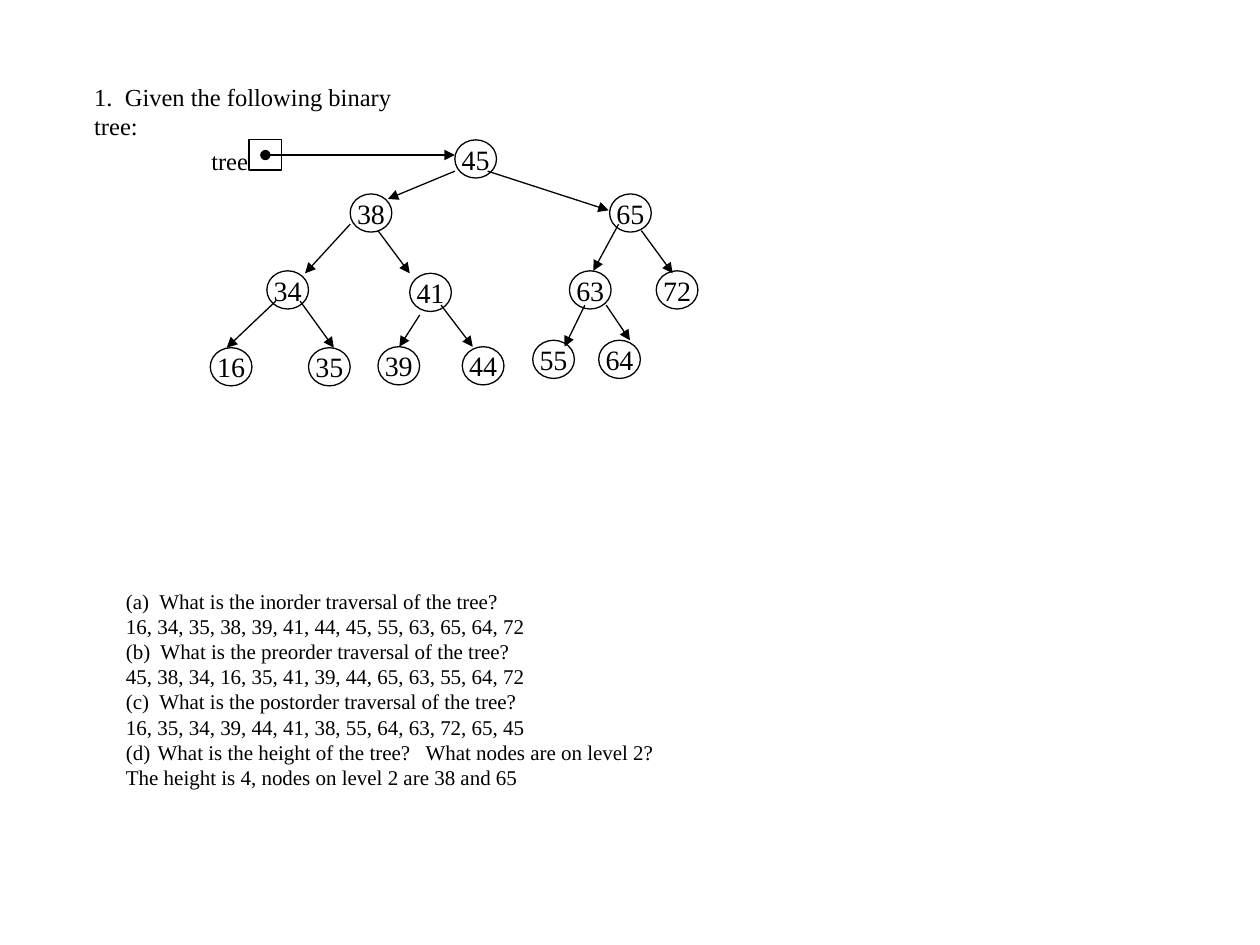
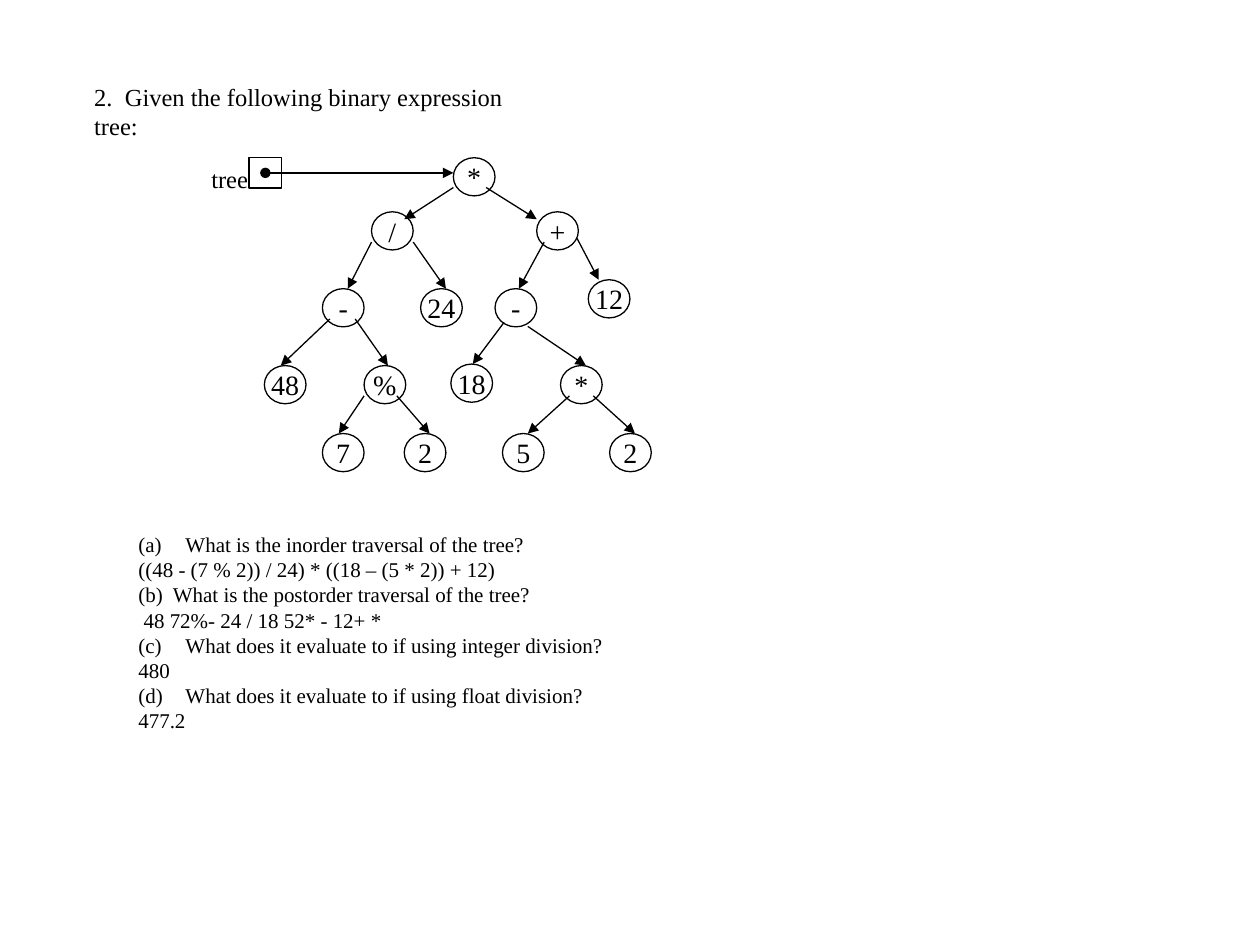
from lxml import etree
from pptx import Presentation
from pptx.dml.color import RGBColor
from pptx.enum.shapes import MSO_CONNECTOR, MSO_SHAPE
from pptx.enum.text import MSO_ANCHOR, PP_ALIGN
from pptx.oxml.ns import qn
from pptx.util import Cm, Pt

STRAIGHT = MSO_CONNECTOR.STRAIGHT
ELLIPSE, RECTANGLE = MSO_SHAPE.OVAL, MSO_SHAPE.RECTANGLE
CENTER, MIDDLE = PP_ALIGN.CENTER, MSO_ANCHOR.MIDDLE

BLACK = RGBColor(0, 0, 0)
FONT = "Times New Roman"
TITLE_SIZE, NODE_SIZE, BODY_SIZE = 14, 16, 12
LINE_WIDTH = Pt(0.75)

# All positions are in centimetres.
NODE_W, NODE_H = 0.84, 0.77
POINTER_LEFT, POINTER_W, POINTER_H = 5.02, 0.66, 0.61

# A tree is its root (label, left, top), then its other nodes
# (label, left, top, (arrow start x, y, arrow end x, y)).
SEARCH_ROOT = ("45", 9.17, 2.82)
SEARCH_NODES = [
    ("38", 7.06, 3.91, (9.17, 3.45, 7.82, 4.01)),
    ("65", 12.29, 3.91, (9.83, 3.45, 12.27, 4.24)),
    ("34", 5.38, 5.46, (7.06, 4.52, 6.15, 5.51)),
    ("41", 8.26, 5.51, (7.62, 4.65, 8.26, 5.51)),
    ("63", 11.48, 5.46, (12.47, 4.52, 11.96, 5.46)),
    ("72", 13.23, 5.46, (12.93, 4.65, 13.56, 5.51)),
    ("16", 4.24, 7.01, (5.56, 6.07, 4.57, 7.01)),
    ("35", 6.22, 7.01, (6.05, 6.07, 6.73, 7.01)),
    ("39", 7.62, 6.99, (8.46, 6.35, 8.05, 6.99)),
    ("44", 9.32, 6.99, (8.89, 6.15, 9.53, 6.99)),
    ("55", 10.74, 6.86, (11.79, 6.15, 11.38, 6.99)),
    ("64", 12.07, 6.86, (12.22, 6.15, 12.7, 6.86)),
]
EXPRESSION_ROOT = ("*", 9.14, 3.18)
EXPRESSION_NODES = [
    ("/", 7.49, 4.27, (9.14, 3.78, 8.15, 4.42)),
    ("+", 10.82, 4.27, (9.8, 3.78, 10.82, 4.42)),
    ("-", 6.5, 5.82, (7.49, 4.88, 7.01, 5.82)),
    ("24", 8.48, 5.82, (8.33, 4.88, 8.99, 5.82)),
    ("-", 9.98, 5.82, (10.97, 4.88, 10.46, 5.82)),
    ("12", 11.86, 5.64, (11.63, 4.8, 12.07, 5.64)),
    ("48", 5.33, 7.37, (6.65, 6.43, 5.66, 7.37)),
    ("%", 7.34, 7.37, (7.16, 6.43, 7.82, 7.37)),
    ("18", 9.09, 7.34, (10.16, 6.5, 9.53, 7.34)),
    ("*", 11.3, 7.37, (10.64, 6.58, 11.81, 7.37)),
    ("7", 6.5, 8.74, (7.34, 7.98, 6.83, 8.74)),
    ("2", 8.15, 8.74, (8, 7.98, 8.66, 8.74)),
    ("5", 10.13, 8.74, (11.48, 7.98, 10.64, 8.74)),
    ("2", 12.29, 8.74, (11.96, 7.98, 12.8, 8.74)),
]

SEARCH_QUESTIONS = [
    "(a)  What is the inorder traversal of the tree?",
    "16, 34, 35, 38, 39, 41, 44, 45, 55, 63, 65, 64, 72",
    "(b)  What is the preorder traversal of the tree?",
    "45, 38, 34, 16, 35, 41, 39, 44, 65, 63, 55, 64, 72",
    "(c)  What is the postorder traversal of the tree?",
    "16, 35, 34, 39, 44, 41, 38, 55, 64, 63, 72, 65, 45",
    "What is the height of the tree?   What nodes are on level 2?",
    "The height is 4, nodes on level 2 are 38 and 65",
]
EXPRESSION_QUESTIONS = [
    "What is the inorder traversal of the tree?",
    "((48 - (7 % 2)) / 24) * ((18 – (5 * 2)) + 12)",
    "(b)  What is the postorder traversal of the tree?",
    " 48 72%- 24 / 18 52* - 12+ *",
    "What does it evaluate to if using integer division?",
    "480",
    "What does it evaluate to if using float division?",
    "477.2",
]


def format_text(tf, size):
    for p in tf.paragraphs:
        for r in p.runs:
            r.font.name = FONT
            r.font.size = Pt(size)
            r.font.color.rgb = BLACK


def add_text(slide, left, top, width, height, lines, size):
    sp = slide.shapes.add_textbox(Cm(left), Cm(top), Cm(width), Cm(height))
    tf = sp.text_frame
    tf.word_wrap = True
    tf.text = "\n".join(lines)
    format_text(tf, size)
    return tf


def number_paragraph(p, start, indent):
    """Give the paragraph an automatic (a), (b), ... number with a hanging indent."""
    pPr = p._p.get_or_add_pPr()
    pPr.set("marL", str(Cm(indent)))
    pPr.set("indent", str(-Cm(indent)))
    etree.SubElement(pPr, qn("a:buAutoNum"), type="alphaLcParenBoth", startAt=str(start))


def add_questions(slide, left, top, width, height, lines, numbered, indent):
    """Add questions and answers; numbered maps a line index to its letter's position."""
    tf = add_text(slide, left, top, width, height, lines, BODY_SIZE)
    for index, start in numbered.items():
        number_paragraph(tf.paragraphs[index], start, indent)


def add_outline(slide, kind, left, top, width, height):
    sp = slide.shapes.add_shape(kind, Cm(left), Cm(top), Cm(width), Cm(height))
    sp.shadow.inherit = False
    sp.fill.background()
    sp.line.color.rgb = BLACK
    sp.line.width = LINE_WIDTH
    return sp


def add_node(slide, label, left, top):
    tf = add_outline(slide, ELLIPSE, left, top, NODE_W, NODE_H).text_frame
    tf.word_wrap = False
    tf.vertical_anchor = MIDDLE
    tf.text = label
    tf.paragraphs[0].alignment = CENTER
    format_text(tf, NODE_SIZE)


def add_arrow(slide, x1, y1, x2, y2, dot=False):
    """Draw an arrow, with a dot at its start if wanted."""
    line = slide.shapes.add_connector(STRAIGHT, Cm(x1), Cm(y1), Cm(x2), Cm(y2))
    line.line.color.rgb = BLACK
    line.line.width = LINE_WIDTH
    spPr = line._element.spPr
    ln = spPr.find(qn("a:ln"))
    if dot:
        etree.SubElement(ln, qn("a:headEnd"), type="oval")
    etree.SubElement(ln, qn("a:tailEnd"), type="triangle")
    etree.SubElement(spPr, qn("a:effectLst"))


def add_tree(slide, root, nodes):
    """Draw the tree variable pointing at the root, and the nodes with their arrows."""
    _, root_left, root_top = root
    add_text(slide, 4.01, root_top, 1.3, 0.84, ["tree"], TITLE_SIZE)
    add_outline(slide, RECTANGLE, POINTER_LEFT, root_top, POINTER_W, POINTER_H)
    y = root_top + POINTER_H / 2
    add_arrow(slide, POINTER_LEFT + POINTER_W / 2, y, root_left, y, dot=True)
    add_node(slide, *root)
    for label, left, top, arrow in nodes:
        add_node(slide, label, left, top)
        add_arrow(slide, *arrow)


def add_exercise(prs, title, title_width, root, nodes):
    slide = prs.slides.add_slide(prs.slide_layouts[6])
    add_text(slide, 1.65, 1.52, title_width, 0.84, [title], TITLE_SIZE)
    add_tree(slide, root, nodes)
    return slide


def main():
    prs = Presentation()
    prs.slide_width, prs.slide_height = Cm(25.4), Cm(19.05)

    slide = add_exercise(prs, "1.  Given the following binary tree:", 7.3,
                         SEARCH_ROOT, SEARCH_NODES)
    add_questions(slide, 2.29, 11.73, 16, 4.37, SEARCH_QUESTIONS, {6: 4}, 0.64)

    slide = add_exercise(prs, "2.  Given the following binary expression tree:", 9.5,
                         EXPRESSION_ROOT, EXPRESSION_NODES)
    add_questions(slide, 2.54, 10.59, 10, 5.89, EXPRESSION_QUESTIONS,
                  {0: 1, 4: 3, 6: 4}, 0.95)

    prs.save("out.pptx")


if __name__ == "__main__":
    main()
